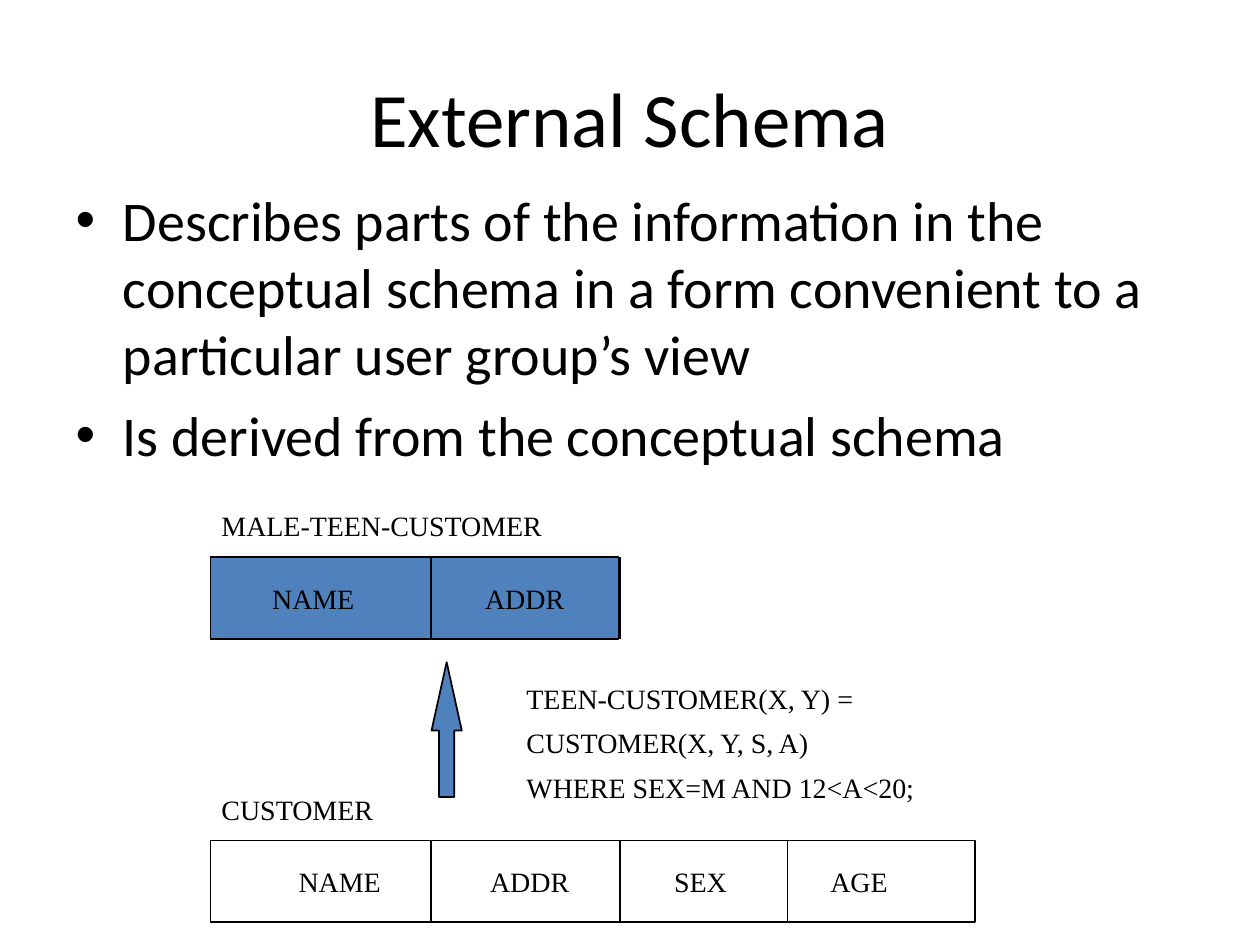
from lxml.etree import SubElement
from pptx import Presentation
from pptx.dml.color import RGBColor
from pptx.enum.shapes import MSO_CONNECTOR as CONN, MSO_SHAPE as SHAPE
from pptx.enum.text import MSO_ANCHOR as ANCHOR, PP_ALIGN as ALIGN
from pptx.oxml.ns import qn
from pptx.util import Inches, Pt

COLORS = {"text": "000000", "view": "4F81BD", "base": "FFFFFF"}
SANS, SERIF = "Calibri", "Times New Roman"
TITLE = "External Schema"
BULLETS = [
    "Describes parts of the information in the conceptual schema in a form "
    "convenient to a particular user group’s view",
    "Is derived from the conceptual schema",
]
LEFT, ROW_H, INSET = 1.67, 0.65, 0.1
TABLES = [
    {"top": 6.67, "width": 6.07, "fill": "base", "dividers": [3.42, 4.92, 6.25],
     "fields": [("NAME", 2.37), ("ADDR", 3.89), ("SEX", 5.35), ("AGE", 6.59)]},
    {"top": 4.42, "width": 3.24, "fill": "view", "dividers": [3.42, 4.92],
     "fields": [("NAME", 2.16), ("ADDR", 3.85)]},
]
LABELS = [
    ((1.66, 6.24, 1.76, 0.36), ["CUSTOMER"], 1),
    ((1.66, 3.99, 3.26, 0.36), ["MALE-TEEN-CUSTOMER"], 1),
    ((4.08, 5.41, 3.68, 1.02),
     ["TEEN-CUSTOMER(X, Y) =", "CUSTOMER(X, Y, S, A)", "WHERE SEX=M AND 12<A<20;"], 0.8),
]


def rgb(name):
    return RGBColor.from_string(COLORS[name])


def place(sp, box):
    sp.left, sp.top, sp.width, sp.height = map(Inches, box)


def add_run(p, text, size, font):
    r = p.add_run()
    r.text = text
    r.font.size, r.font.name = Pt(size), font
    r.font.color.rgb = rgb("text")


def fill_paragraphs(tf, lines, size, font, before, spacing=1):
    for i, line in enumerate(lines):
        p = tf.add_paragraph() if i else tf.paragraphs[0]
        p.space_before = Pt(before if i else 0)
        p.line_spacing = spacing
        add_run(p, line, size, font)


def add_block(s, shape, box, fill):
    sp = s.shapes.add_shape(shape, *map(Inches, box))
    sp.shadow.inherit = False
    sp.fill.solid()
    sp.fill.fore_color.rgb = rgb(fill)
    sp.line.color.rgb = rgb("text")
    sp.line.width = Pt(1)
    return sp


def add_divider(s, x, top):
    line = s.shapes.add_connector(CONN.STRAIGHT, *map(Inches, (x, top, x, top + ROW_H)))
    line.line.color.rgb = rgb("text")
    line.line.width = Pt(1)
    SubElement(line._element.spPr, qn("a:effectLst"))


def add_schema_row(s, top, width, fill, dividers, fields):
    tf = add_block(s, SHAPE.RECTANGLE, (LEFT, top, width, ROW_H), fill).text_frame
    start = fields[0][1]
    tf.margin_left = Inches(start - LEFT)
    tf.margin_right = Inches(INSET)
    tf.vertical_anchor = ANCHOR.MIDDLE
    p = tf.paragraphs[0]
    p.alignment = ALIGN.LEFT
    tabs = SubElement(p._p.get_or_add_pPr(), qn("a:tabLst"))
    for _, x in fields[1:]:
        SubElement(tabs, qn("a:tab"), pos=str(Inches(x - start)), algn="l")
    add_run(p, "\t".join(name for name, _ in fields), 16, SERIF)
    for x in dividers:
        add_divider(s, x, top)


def main():
    """Build the external schema slide."""
    prs = Presentation()
    prs.slide_width, prs.slide_height = Inches(10), Inches(7.5)
    s = prs.slides.add_slide(prs.slide_layouts[1])

    title, body = s.placeholders
    place(title, (0.5, 0.3, 9, 1.25))
    title.text_frame.vertical_anchor = ANCHOR.MIDDLE
    title.text_frame.paragraphs[0].alignment = ALIGN.CENTER
    add_run(title.text_frame.paragraphs[0], TITLE, 44, SANS)
    place(body, (0.5, 1.42, 9, 2.5))
    fill_paragraphs(body.text_frame, BULLETS, 32, SANS, 8)

    for table in TABLES:
        add_schema_row(s, **table)
    for box, lines, spacing in LABELS:
        tf = s.shapes.add_textbox(*map(Inches, box)).text_frame
        tf.word_wrap = True
        fill_paragraphs(tf, lines, 16, SERIF, 10, spacing)

    arrow = add_block(s, SHAPE.RIGHT_ARROW, (3.01, 5.67, 1.07, 0.24), "view")
    arrow.rotation = 270
    arrow.adjustments[0], arrow.adjustments[1] = 0.5, 2.26
    prs.save("out.pptx")


if __name__ == "__main__":
    main()
